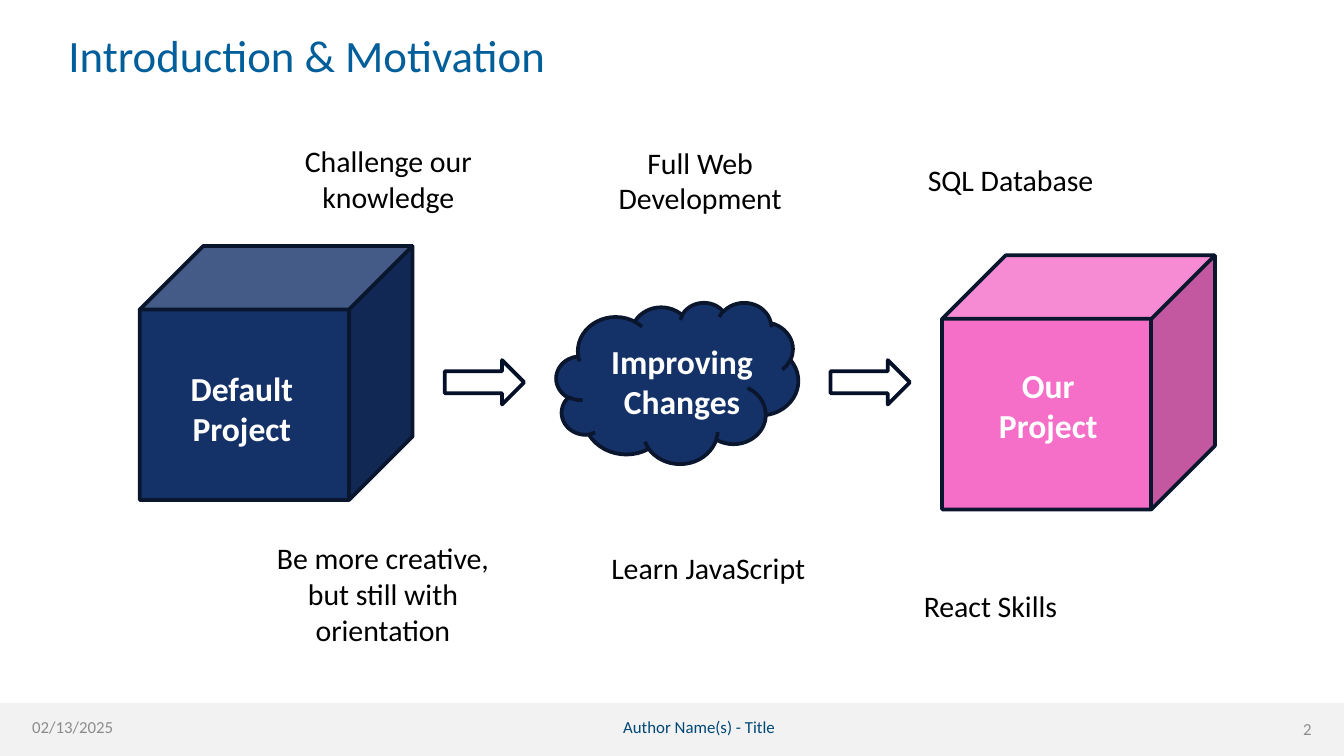
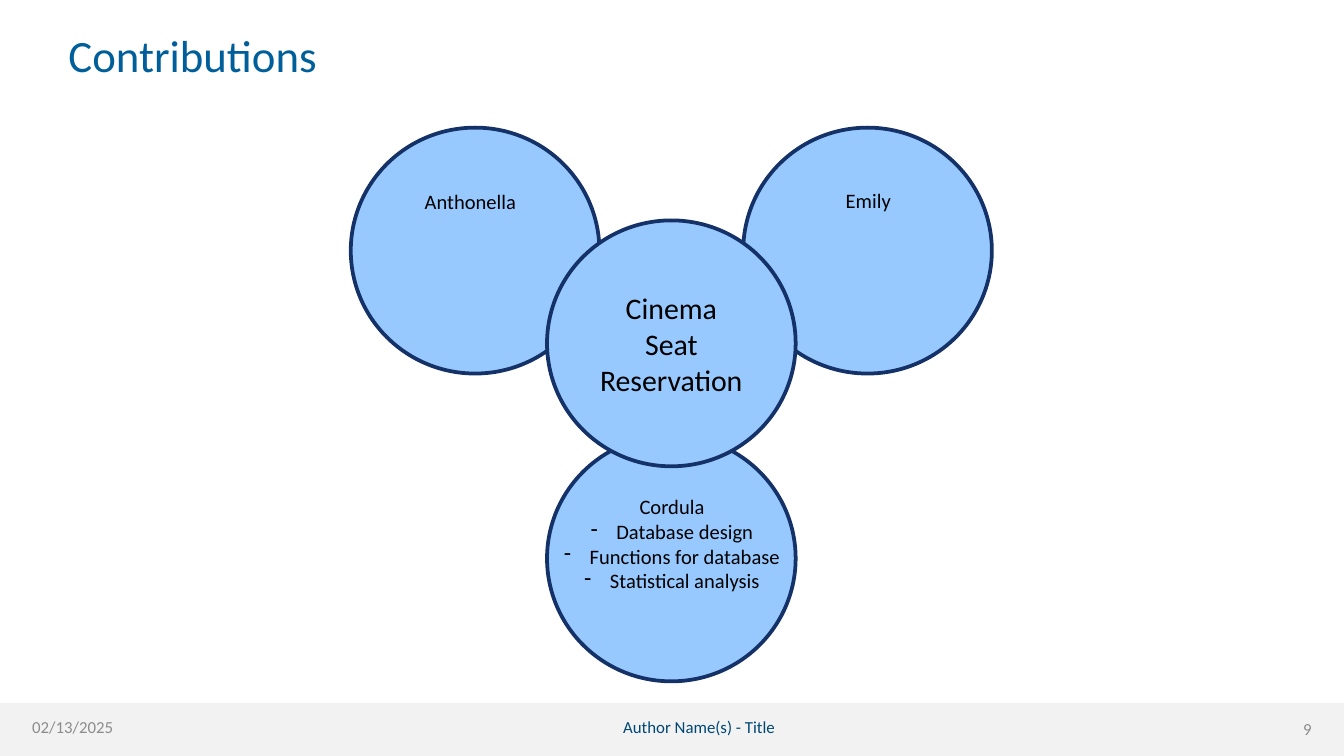
from dataclasses import dataclass
from typing import NamedTuple

from lxml import etree
from pptx import Presentation
from pptx import util as u
from pptx.dml.color import RGBColor
from pptx.enum import shapes, text
from pptx.oxml.ns import qn

COLS, ROWS = 100, 56.25
WIDE, HIGH = u.Inches(10), u.Inches(5.625)
KIND = shapes.MSO_SHAPE
LEFT, MID, RIGHT = text.PP_ALIGN.LEFT, text.PP_ALIGN.CENTER, text.PP_ALIGN.RIGHT
TOP, HALF = text.MSO_ANCHOR.TOP, text.MSO_ANCHOR.MIDDLE


@dataclass(frozen=True)
class Theme:
    font: str = "Calibri"
    title: str = "005F9B"
    band: str = "F2F2F2"
    gray: str = "8C8C8C"
    foot: str = "004774"
    navy: str = "153268"
    edge: str = "09162E"
    rim: str = "040F28"
    pink: str = "F56FC8"
    sky: str = "97C9FE"
    white: str = "FFFFFF"
    black: str = "000000"
    head: float = 24
    strong: float = 18
    body: float = 16
    small: float = 11
    tiny: float = 9
    line: float = 2
    dent: float = 0.19


T = Theme()


class Box(NamedTuple):
    col: float
    row: float
    cols: float
    rows: float

    def place(self) -> tuple[u.Emu, ...]:
        x, y = WIDE / COLS, HIGH / ROWS
        return tuple(u.Emu(round(n)) for n in
                     (self.col * x, self.row * y, self.cols * x, self.rows * y))


@dataclass(frozen=True)
class Style:
    size: float
    color: str
    align: text.PP_ALIGN = MID
    anchor: text.MSO_ANCHOR = TOP
    bold: bool = False
    tight: bool = False


@dataclass(frozen=True)
class Form:
    kind: shapes.MSO_SHAPE
    box: Box
    fill: str
    line: str | None = None


@dataclass(frozen=True)
class Label:
    words: str
    box: Box
    style: Style
    points: tuple[str, ...] = ()


HEAD = Style(T.head, T.title, LEFT, tight=True)
DATE = Style(T.tiny, T.gray, LEFT, tight=True)
PAGE = Style(T.tiny, T.gray, RIGHT, tight=True)
FOOT = Style(T.tiny, T.foot, tight=True)
STRONG = Style(T.strong, T.white, anchor=HALF, bold=True)
BODY = Style(T.body, T.black, anchor=HALF)
SMALL = Style(T.small, T.black)


def rgb(code: str) -> RGBColor:
    return RGBColor.from_string(code)


def dash(para) -> None:
    props = para._p.get_or_add_pPr()
    dent = u.Inches(T.dent)
    props.set("marL", str(dent))
    props.set("indent", str(-dent))
    etree.SubElement(props, qn("a:buChar")).set("char", "-")


def write(frame, words: str, style: Style, points: tuple[str, ...] = ()) -> None:
    frame.word_wrap = True
    frame.vertical_anchor = style.anchor
    for spot, line in enumerate((words, *points)):
        para = frame.add_paragraph() if spot else frame.paragraphs[0]
        para.alignment = style.align
        if spot:
            dash(para)
        run = para.add_run()
        run.text = line
        run.font.name = T.font
        run.font.size = u.Pt(style.size)
        run.font.bold = style.bold
        run.font.color.rgb = rgb(style.color)


def draw(slide, form: Form):
    shape = slide.shapes.add_shape(form.kind, *form.box.place())
    shape.shadow.inherit = False
    shape.fill.solid()
    shape.fill.fore_color.rgb = rgb(form.fill)
    if form.line:
        shape.line.color.rgb = rgb(form.line)
        shape.line.width = u.Pt(T.line)
    else:
        shape.line.fill.background()
    return shape


def put(slide, label: Label) -> None:
    frame = slide.shapes.add_textbox(*label.box.place()).text_frame
    if label.style.tight:
        frame.margin_left = frame.margin_right = 0
        frame.margin_top = frame.margin_bottom = 0
    else:
        frame.auto_size = text.MSO_AUTO_SIZE.SHAPE_TO_FIT_TEXT
    write(frame, label.words, label.style, label.points)


def start(deck, title: str, page: int):
    slide = deck.slides.add_slide(deck.slide_layouts[6])
    draw(slide, Form(KIND.RECTANGLE, Box(0, 52.3, COLS, ROWS - 52.3), T.band))
    for label in (
        Label(title, Box(5.1, 2.1, 90.6, 4.7), HEAD),
        Label(str(page), Box(91, 53.5, 6.6, 1.4), PAGE),
        Label("02/13/2025", Box(2.4, 53.3, 11.3, 1.6), DATE),
        Label("Author Name(s) - Title", Box(18.9, 53.3, 66.2, 1.6), FOOT),
    ):
        put(slide, label)
    return slide


def intro(deck) -> None:
    slide = start(deck, "Introduction & Motivation", 2)
    cube, arrow = (20.3, 18.9), (5.9, 3.3)
    for form in (
        Form(KIND.CUBE, Box(10.4, 18.3, *cube), T.navy, T.edge),
        Form(KIND.RIGHT_ARROW, Box(33.1, 26.8, *arrow), T.white, T.rim),
        Form(KIND.CLOUD, Box(41.4, 22.5, 18, 12), T.navy, T.edge),
        Form(KIND.RIGHT_ARROW, Box(61.8, 26.8, *arrow), T.white, T.rim),
        Form(KIND.CUBE, Box(70.1, 19, *cube), T.pink, T.edge),
    ):
        draw(slide, form)
    for words, col, row, cols in (
        ("Default Project", 11.8, 26.8, 12.4),
        ("Improving Changes", 43.4, 24.8, 14.7),
        ("Our Project", 71.8, 26.6, 12.4),
    ):
        put(slide, Label(words, Box(col, row, cols, 7.1), STRONG))
    for words, col, row, lines in (
        ("Full Web Development", 41.6, 10.2, 2),
        ("Learn JavaScript", 42.2, 40.4, 1),
        ("SQL Database", 64.7, 11.5, 1),
        ("React Skills", 63.2, 43.2, 1),
        ("Challenge our knowledge", 18.4, 10.1, 2),
        ("Be more creative, but still with orientation", 18, 39.6, 3),
    ):
        put(slide, Label(words, Box(col, row, 21, 1 + 2.7 * lines), BODY))


def team(deck) -> None:
    slide = start(deck, "Contributions", 9)
    disc, step, hub = (18.5, 18.3), 14.6, 40.7
    for col, row in ((hub + step, 9.5), (hub - step, 9.5), (hub, 32.4), (hub, 16.4)):
        shape = draw(slide, Form(KIND.FLOWCHART_CONNECTOR, Box(col, row, *disc),
                                 T.sky, T.navy))
    write(shape.text_frame, "Cinema Seat Reservation", BODY)
    jobs = ("Database design", "Functions for database", "Statistical analysis")
    for words, col, row, rows, points in (
        ("Cordula", 40.4, 36.3, 8.4, jobs),
        ("Anthonella", 25.4, 13.6, 2.9, ()),
        ("Emily", 55, 13.5, 2.9, ()),
    ):
        put(slide, Label(words, Box(col, row, 19.2, rows), SMALL, points))


def main() -> None:
    deck = Presentation()
    deck.slide_width, deck.slide_height = WIDE, HIGH
    intro(deck)
    team(deck)
    deck.save("out.pptx")


if __name__ == "__main__":
    main()
